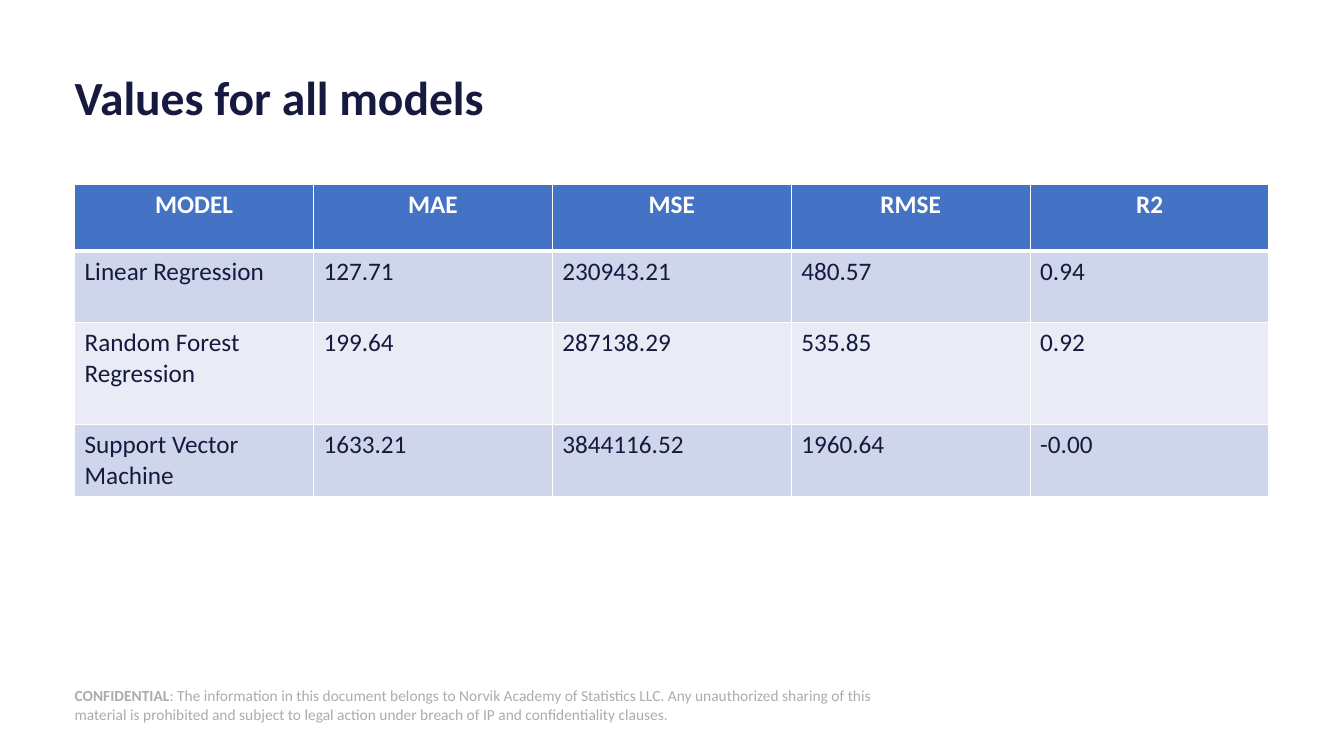
from dataclasses import dataclass
from typing import Any, NamedTuple

import pptx
import pptx.dml.color
import pptx.enum.shapes
import pptx.enum.text
import pptx.oxml
import pptx.oxml.ns
import pptx.util

Cm = pptx.util.Cm
Pt = pptx.util.Pt
Align = pptx.enum.text.PP_ALIGN
Anchor = pptx.enum.text.MSO_ANCHOR


@dataclass(frozen=True)
class Theme:
    font: str = "Calibri"
    ink: str = "161A3E"
    white: str = "FFFFFF"
    gray: str = "AFABAB"
    head: str = "4472C4"
    bands: tuple[str, str] = ("CFD5EA", "E9EBF5")
    title: int = 34
    body: int = 18
    note: int = 11
    thin: int = 1
    thick: int = 3


class Box(NamedTuple):
    left: float
    top: float
    width: float
    height: float


class Row(NamedTuple):
    cells: tuple[str, ...]
    height: float


THEME = Theme()

# Places, in centimetres
TITLE = Box(1.88, 1.68, 30.1, 1.7)
GRID = Box(1.88, 4.65, 30.1, 7.85)
NOTE = Box(1.88, 17.25, 20.75, 1.02)

# Table content
ROWS = (
    Row(("MODEL", "MAE", "MSE", "RMSE", "R2"), 1.68),
    Row(("Linear Regression", "127.71", "230943.21", "480.57", "0.94"), 1.8),
    Row(("Random Forest Regression", "199.64", "287138.29", "535.85", "0.92"), 2.57),
    Row(("Support Vector Machine", "1633.21", "3844116.52", "1960.64", "-0.00"), 1.8),
)


def rgb(code: str) -> Any:
    return pptx.dml.color.RGBColor.from_string(code)


def put(item: Any, vals: dict[str, Any]) -> None:
    for key, val in vals.items():
        setattr(item, key, val)


def place(shape: Any, box: Box) -> None:
    put(shape, {key: Cm(val) for key, val in box._asdict().items()})


def paint(item: Any, code: str) -> None:
    item.fill.solid()
    item.fill.fore_color.rgb = rgb(code)


def write(para: Any, text: str, size: int, code: str, bold: bool) -> None:
    run = para.add_run()
    run.text = text
    put(run.font, {"name": THEME.font, "size": Pt(size), "bold": bold})
    run.font.color.rgb = rgb(code)


def frame(shape: Any) -> Any:
    text = shape.text_frame
    put(text, {
        "margin_left": 0, "margin_top": 0, "margin_right": 0, "margin_bottom": 0,
        "word_wrap": True, "vertical_anchor": Anchor.MIDDLE,
        "auto_size": pptx.enum.text.MSO_AUTO_SIZE.NONE,
    })
    text.paragraphs[0].alignment = Align.LEFT
    return text.paragraphs[0]


def edge(cell: Any, top: int, base: int) -> None:
    prop = cell._tc.get_or_add_tcPr()
    sides = {"L": THEME.thin, "R": THEME.thin, "T": top, "B": base}
    for side, size in sides.items():
        prop.append(pptx.oxml.parse_xml(
            f'<a:ln{side} {pptx.oxml.ns.nsdecls("a")} w="{Pt(size)}">'
            f'<a:solidFill><a:srgbClr val="{THEME.white}"/></a:solidFill></a:ln{side}>'
        ))


def add_note(slide: Any) -> None:
    kind = pptx.enum.shapes.MSO_SHAPE.RECTANGLE
    shape = slide.shapes.add_shape(kind, *(Cm(val) for val in NOTE))
    shape.shadow.inherit = False
    paint(shape, THEME.white)
    shape.line.fill.background()
    para = frame(shape)
    write(para, "CONFIDENTIAL", THEME.note, THEME.gray, True)
    write(
        para,
        ": The information in this document belongs to Norvik Academy of Statistics LLC. "
        "Any unauthorized sharing of this material is prohibited and subject to legal "
        "action under breach of IP and confidentiality clauses.",
        THEME.note, THEME.gray, False,
    )


def add_title(slide: Any) -> None:
    place(slide.shapes.title, TITLE)
    para = frame(slide.shapes.title)
    para.line_spacing = 0.9
    write(para, "Values for all models", THEME.title, THEME.ink, True)


def add_grid(slide: Any) -> None:
    count = len(ROWS[0].cells)
    table = slide.shapes.add_table(len(ROWS), count, *(Cm(val) for val in GRID)).table
    table.horz_banding = False
    for col in table.columns:
        col.width = Cm(GRID.width / count)
    for num, row in enumerate(ROWS):
        head = num == 0
        table.rows[num].height = Cm(row.height)
        for cell, text in zip(table.rows[num].cells, row.cells):
            edge(cell, THEME.thick if num == 1 else THEME.thin,
                 THEME.thick if head else THEME.thin)
            paint(cell, THEME.head if head else THEME.bands[(num - 1) % 2])
            para = cell.text_frame.paragraphs[0]
            para.alignment = Align.CENTER if head else Align.LEFT
            write(para, text, THEME.body, THEME.white if head else THEME.ink, head)


def main() -> None:
    deck = pptx.Presentation()
    put(deck, {"slide_width": Cm(33.87), "slide_height": Cm(19.05)})
    slide = deck.slides.add_slide(deck.slide_layouts.get_by_name("Title Only"))
    paint(slide.background, THEME.white)
    add_note(slide)
    add_title(slide)
    add_grid(slide)
    deck.save("out.pptx")


if __name__ == "__main__":
    main()
